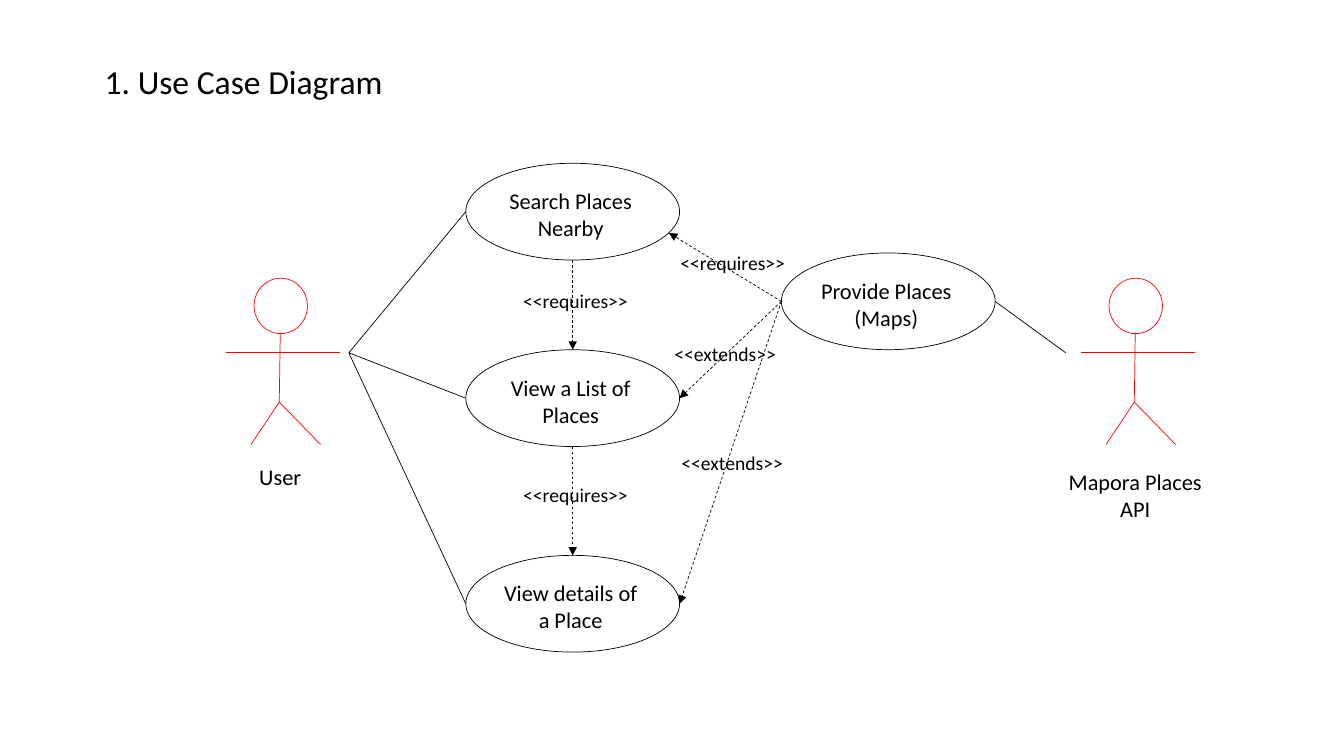
from lxml.etree import SubElement
from pptx import Presentation
from pptx.dml.color import RGBColor
from pptx.enum.dml import MSO_LINE
from pptx.enum.shapes import MSO_CONNECTOR, MSO_SHAPE
from pptx.enum.text import MSO_AUTO_SIZE, PP_ALIGN
from pptx.oxml.ns import qn
from pptx.util import Inches, Pt

BLACK, RED = "000000", "FF0000"
CASE_W, CASE_H = 2.12, 0.96
LABEL_W = 1.6

TITLE = ("1. Use Case Diagram", 0.94, 0.56, 2.98, 0.5)
# Use cases: text, left, top
CASES = {
    "search": ("Search Places Nearby", 4.62, 1.62),
    "list": ("View a List of Places", 4.62, 3.47),
    "details": ("View details of a Place", 4.62, 5.51),
    "provide": ("Provide Places\v(Maps)", 7.75, 2.51),
}
# Actors: name, left of the arms, name top, name height
ACTORS = [("User", 2.24, 4.55, 0.37), ("Mapora Places API", 10.72, 4.6, 0.64)]
ACTOR_TOP = 2.76
USER_HAND, API_HAND = (3.46, 3.5), (10.57, 3.5)
# Figure lines, measured from the left of the arms and the top of the head
LIMBS = [
    ((0, 0.74), (1.13, 0.74)),
    ((0.54, 0.54), (0.53, 1.23)),
    ((0.53, 1.23), (0.94, 1.65)),
    ((0.53, 1.23), (0.25, 1.65)),
]
# Relation labels: text, left, top, width
RELATIONS = [
    ("<<requires>>", 5.09, 2.82, 1.25),
    ("<<requires>>", 5.09, 4.74, 1.25),
    ("<<requires>>", 6.65, 2.44, 1.25),
    ("<<extends>>", 6.59, 3.34, 1.22),
    ("<<extends>>", 6.66, 4.42, 1.22),
]


def rgb(color):
    """Turn a hex string into a colour."""
    return RGBColor.from_string(color)


def add_text(text, left, top, width, height, size=16, centred=False):
    """Add a text box; centred boxes wrap, the others stay on one line."""
    sp = shapes.add_textbox(*map(Inches, (left, top, width, height)))
    tf = sp.text_frame
    tf.text = text
    tf.word_wrap = centred
    tf.auto_size = MSO_AUTO_SIZE.SHAPE_TO_FIT_TEXT
    p = tf.paragraphs[0]
    p.alignment = PP_ALIGN.CENTER if centred else PP_ALIGN.LEFT
    for r in p.runs:
        r.font.name, r.font.size = "Calibri", Pt(size)
        r.font.color.rgb = rgb(BLACK)


def add_ellipse(left, top, width, height, color=BLACK):
    """Add an unfilled ellipse with a thin outline."""
    sp = shapes.add_shape(MSO_SHAPE.OVAL, *map(Inches, (left, top, width, height)))
    sp.shadow.inherit = False
    sp.fill.background()
    sp.line.color.rgb = rgb(color)
    sp.line.width = Pt(0.5)


def add_line(start, end, color=BLACK, arrow=False):
    """Add a thin line, or a dashed arrow, between two points."""
    cx = shapes.add_connector(MSO_CONNECTOR.STRAIGHT, *map(Inches, (*start, *end)))
    cx.line.color.rgb = rgb(color)
    cx.line.width = Pt(0.5)
    if arrow:
        cx.line.dash_style = MSO_LINE.DASH
        SubElement(cx.line._get_or_add_ln(), qn("a:tailEnd"), type="triangle")
    SubElement(cx._element.spPr, qn("a:effectLst"))


def side(case, fx, fy):
    """Give a point of a use case by its fractions of width and height."""
    _, left, top = CASES[case]
    return left + fx * CASE_W, top + fy * CASE_H


prs = Presentation()
prs.slide_width, prs.slide_height = Inches(13.33), Inches(7.5)
shapes = prs.slides.add_slide(prs.slide_layouts[6]).shapes

add_text(*TITLE, size=24)

for name, left, name_top, name_height in ACTORS:
    add_ellipse(left + 0.28, ACTOR_TOP, 0.53, 0.55, RED)
    for limb in LIMBS:
        add_line(*[(left + x, ACTOR_TOP + y) for x, y in limb], color=RED)
    add_text(name, left - 0.26, name_top, LABEL_W, name_height, centred=True)

for text, left, top in CASES.values():
    add_ellipse(left, top, CASE_W, CASE_H)
    add_text(text, left + 0.24, top + 0.19, LABEL_W, 0.64, centred=True)

for case in ("search", "list", "details"):
    add_line(USER_HAND, side(case, 0, 0.5))
add_line(side("provide", 1, 0.5), API_HAND)

for upper, lower in (("search", "list"), ("list", "details")):
    add_line(side(upper, 0.5, 1), side(lower, 0.5, 0), arrow=True)
for case, fx, fy in (("search", 0.95, 0.72), ("list", 1, 0.5), ("details", 1, 0.5)):
    add_line(side("provide", 0, 0.5), side(case, fx, fy), arrow=True)

for text, left, top, width in RELATIONS:
    add_text(text, left, top, width, 0.34, size=14)

prs.save("out.pptx")
